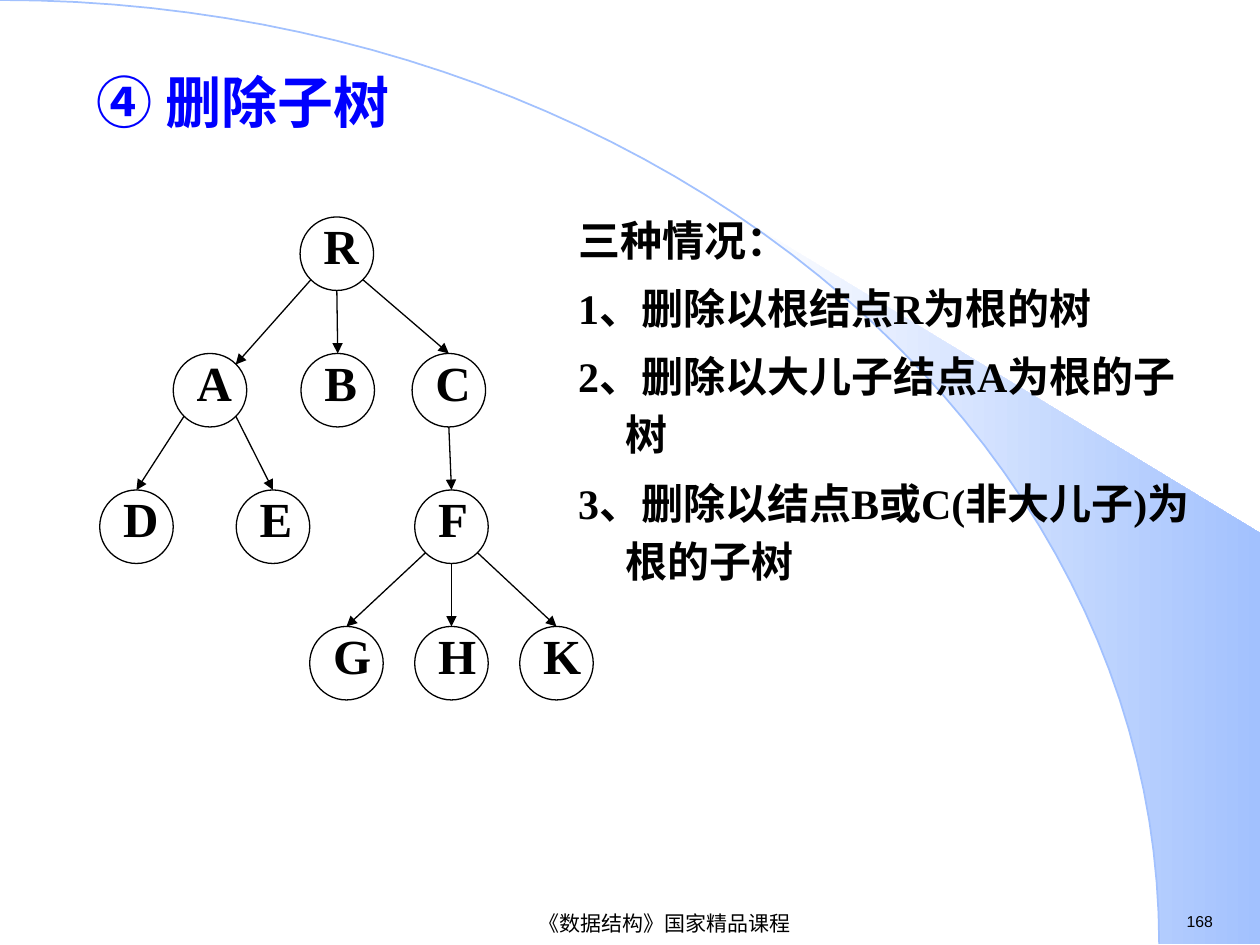
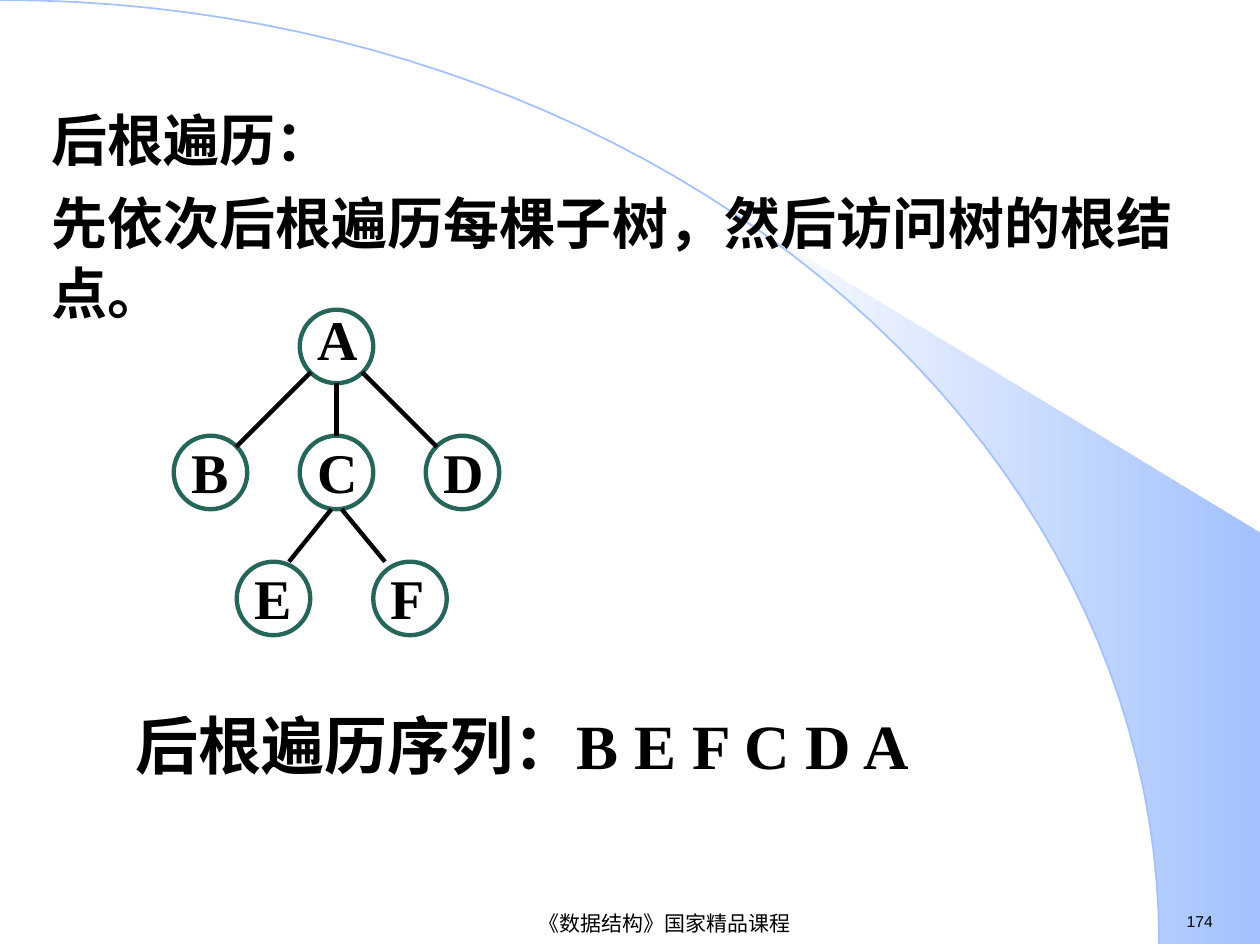
from math import asin, cos, pi, sin

from pptx import Presentation
from pptx.dml.color import RGBColor
from pptx.enum.shapes import MSO_CONNECTOR, MSO_SHAPE
from pptx.enum.text import MSO_ANCHOR as Anchor, PP_ALIGN as Align
from pptx.oxml.ns import qn
from pptx.util import Pt
from lxml.etree import SubElement

BLACK = RGBColor(0x00, 0x00, 0x00)
WHITE = RGBColor(0xFF, 0xFF, 0xFF)
BLUE = RGBColor(0x00, 0x00, 0xFF)
SKY = RGBColor(0xA2, 0xC1, 0xFE)
GREEN = RGBColor(0x26, 0x66, 0x5A)

SLIDE_WIDTH, SLIDE_HEIGHT = 720, 540
ARC_WIDTH, ARC_HEIGHT = 662.4, 539.3
BEAM_TIP_X, BEAM_RIGHT_Y = 424, 304.6
NODE_SIZE = 42

# Where an edge can meet a node, as fractions of the node's box
SITES = {
    "top": (0.5, 0), "bottom": (0.5, 1),
    "top left": (0.15, 0.15), "top right": (0.85, 0.15),
    "bottom left": (0.15, 0.85), "bottom right": (0.85, 0.85),
    "near top left": (0.16, 0), "near top right": (0.71, 0),
    "near bottom left": (0.43, 1), "near bottom right": (0.57, 1),
}


def add_text(shapes, box, *lines, size, font="Times New Roman", color=BLACK,
             bold=True, align=Align.LEFT, anchor=Anchor.TOP,
             spacing=None, space_before=0, hanging=0):
    """Add a text box with one paragraph for each line."""
    text_box = shapes.add_textbox(*map(Pt, box))
    frame = text_box.text_frame
    frame.word_wrap = True
    frame.vertical_anchor = anchor
    for index, line in enumerate(lines):
        paragraph = frame.add_paragraph() if index else frame.paragraphs[0]
        paragraph.alignment = align
        if spacing:
            paragraph.line_spacing = spacing
        if index:
            paragraph.space_before = Pt(space_before)
        if hanging:
            properties = paragraph._p.get_or_add_pPr()
            properties.set("marL", str(Pt(hanging)))
            properties.set("indent", str(-Pt(hanging)))
        run = paragraph.add_run()
        run.text = line
        run.font.name = font
        run.font.size = Pt(size)
        run.font.bold = bold
        run.font.color.rgb = color
    return text_box


def arc_points(start_angle, steps=48):
    """Points of the big quarter ellipse, from start_angle to its right end."""
    angles = [start_angle + (pi / 2 - start_angle) * step / steps
              for step in range(steps + 1)]
    return [(Pt(ARC_WIDTH * sin(angle)), Pt(ARC_HEIGHT * (1 - cos(angle))))
            for angle in angles]


def add_outline(slide, points, close):
    builder = slide.shapes.build_freeform(*points[0], scale=1.0)
    builder.add_line_segments(points[1:], close=close)
    shape = builder.convert_to_shape()
    shape.shadow.inherit = False
    return shape


def add_background(slide):
    corners = [(Pt(SLIDE_WIDTH), Pt(ARC_HEIGHT)),
               (Pt(SLIDE_WIDTH), Pt(BEAM_RIGHT_Y))]
    beam_edge = arc_points(asin(BEAM_TIP_X / ARC_WIDTH))
    beam = add_outline(slide, beam_edge + corners, close=True)
    beam.line.fill.background()
    beam.fill.gradient()
    beam.fill.gradient_angle = 0
    for stop, color in zip(beam.fill.gradient_stops, (WHITE, SKY)):
        stop.color.rgb = color

    arc = add_outline(slide, arc_points(0), close=False)
    arc.fill.background()
    arc.line.color.rgb = SKY
    arc.line.width = Pt(1)


def add_footer(slide, number):
    add_text(slide.shapes, (671, 517.7, 49, 18), str(number),
             size=9, font="Arial", bold=False)
    add_text(slide.shapes, (172.8, 519, 414, 17.5), "《数据结构》国家精品课程",
             size=12, font="Arial", bold=False,
             align=Align.CENTER, anchor=Anchor.MIDDLE)


def new_slide(presentation, number):
    slide = presentation.slides.add_slide(presentation.slide_layouts[6])
    add_background(slide)
    add_footer(slide, number)
    return slide


def add_node(shapes, left, top, color, width):
    node = shapes.add_shape(MSO_SHAPE.OVAL, Pt(left), Pt(top),
                            Pt(NODE_SIZE), Pt(NODE_SIZE))
    node.shadow.inherit = False
    node.fill.background()
    node.line.color.rgb = color
    node.line.width = Pt(width)
    return node


def site_point(node, site):
    across, down = SITES[site]
    return (int(node.left + across * node.width),
            int(node.top + down * node.height))


def add_edge(shapes, parent, child, leave, arrive, width, arrow):
    edge = shapes.add_connector(MSO_CONNECTOR.STRAIGHT,
                                *site_point(parent, leave),
                                *site_point(child, arrive))
    if arrive == "top":
        edge.end_connect(child, 0)
    edge.line.color.rgb = BLACK
    edge.line.width = Pt(width)
    if arrow:
        SubElement(edge.line._get_or_add_ln(), qn("a:tailEnd"), type="triangle")
    SubElement(edge._element.spPr, qn("a:effectLst"))


def add_tree(slide, origin, pitch, rows, edges, *, node_color, line_width,
             label_box, label_size, child_spacing=None, arrow=False):
    """Draw rows of {name: left} nodes, then the edges between them."""
    shapes = slide.shapes.add_group_shape().shapes
    label_left, label_top, label_width, label_height = label_box
    nodes = {}
    for level, row in enumerate(rows):
        top = origin[1] + level * pitch
        for name, offset in row.items():
            left = origin[0] + offset
            nodes[name] = add_node(shapes, left, top, node_color, line_width)
            add_text(shapes, (left + label_left, top + label_top,
                              label_width, label_height), name,
                     size=label_size, spacing=child_spacing if level else None)
    for parent, child, leave, arrive in edges:
        add_edge(shapes, nodes[parent], nodes[child], leave, arrive,
                 line_width, arrow)


def build_deletion_slide(presentation):
    slide = new_slide(presentation, 168)
    add_text(slide.shapes, (323.3, 114.5, 377.3, 255),
             "三种情况：",
             "1、删除以根结点R为根的树",
             "2、删除以大儿子结点A为根的子树",
             "3、删除以结点B或C(非大儿子)为根的子树",
             size=24, spacing=1.15, space_before=6, hanging=27)
    rows = [
        {"R": 114.5},
        {"A": 42, "B": 115, "C": 178.5},
        {"D": 0, "E": 78, "F": 180},
        {"G": 120, "H": 180, "K": 240},
    ]
    edges = [
        ("R", "A", "bottom left", "top right"),
        ("R", "B", "bottom", "top"),
        ("R", "C", "bottom right", "top"),
        ("A", "D", "bottom left", "top"),
        ("A", "E", "bottom right", "top"),
        ("C", "F", "bottom", "top"),
        ("F", "G", "bottom left", "top"),
        ("F", "H", "bottom", "top"),
        ("F", "K", "bottom right", "top"),
    ]
    add_tree(slide, (57, 124), 78, rows, edges, node_color=BLACK,
             line_width=0.75, label_box=(6.3, -4.2, 36, 41),
             label_size=28, arrow=True)
    add_text(slide.shapes, (48.2, 34.6, 260.6, 46.8), "④ 删除子树",
             size=32, color=BLUE, align=Align.JUSTIFY, anchor=Anchor.MIDDLE)


def build_postorder_slide(presentation):
    slide = new_slide(presentation, 174)
    add_text(slide.shapes, (22.5, 54.7, 683.3, 416.9),
             "后根遍历：",
             "先依次后根遍历每棵子树，然后访问树的根结点。",
             size=32, spacing=1.05, space_before=7)
    add_text(slide.shapes, (70.6, 400.3, 478.8, 50.4),
             "后根遍历序列：B E F C D A", size=36)
    rows = [
        {"A": 72},
        {"B": 0, "C": 72, "D": 144},
        {"E": 36, "F": 114},
    ]
    edges = [
        ("A", "C", "bottom", "top"),
        ("A", "B", "bottom left", "top right"),
        ("A", "D", "bottom right", "top left"),
        ("C", "E", "near bottom left", "near top right"),
        ("C", "F", "near bottom right", "near top left"),
    ]
    add_tree(slide, (99.3, 177), 72, rows, edges, node_color=GREEN,
             line_width=2.5, label_box=(3, -6.5, 42, 48),
             label_size=32, child_spacing=1.1)


def main():
    presentation = Presentation()
    presentation.slide_width = Pt(SLIDE_WIDTH)
    presentation.slide_height = Pt(SLIDE_HEIGHT)
    build_deletion_slide(presentation)
    build_postorder_slide(presentation)
    presentation.save("out.pptx")


if __name__ == "__main__":
    main()
